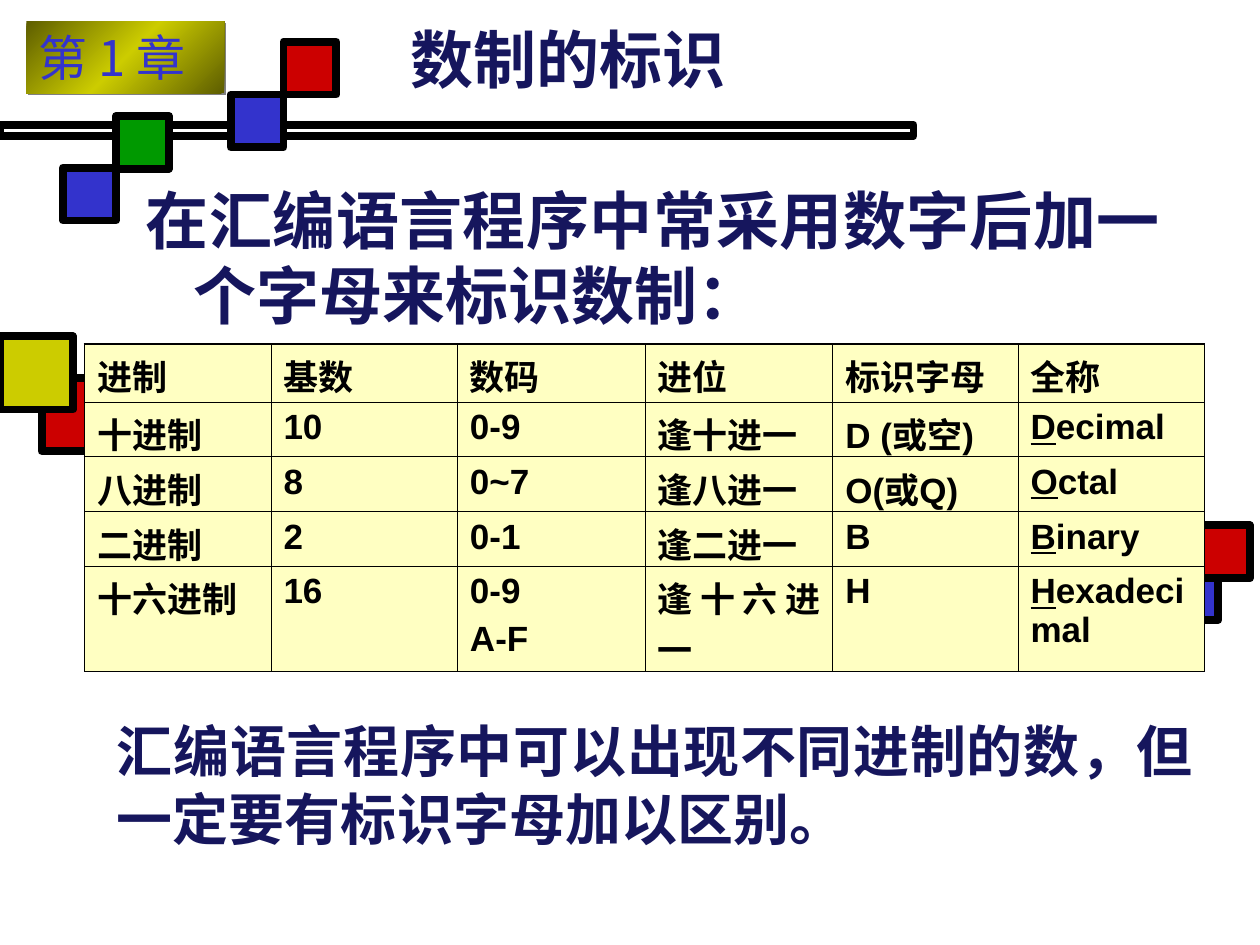
from lxml import etree
from pptx import Presentation
from pptx.dml.color import RGBColor
from pptx.enum.shapes import MSO_SHAPE
from pptx.enum.text import MSO_ANCHOR, MSO_AUTO_SIZE, PP_ALIGN
from pptx.oxml import parse_xml
from pptx.oxml.ns import nsdecls, qn
from pptx.util import Inches, Pt

RECTANGLE = MSO_SHAPE.RECTANGLE
MIDDLE, TOP = MSO_ANCHOR.MIDDLE, MSO_ANCHOR.TOP
NO_FIT = MSO_AUTO_SIZE.NONE
JUSTIFY, LEFT = PP_ALIGN.JUSTIFY, PP_ALIGN.LEFT

CJK = "Noto Sans CJK JP"
BLACK, WHITE, NAVY = "000000", "FFFFFF", "16165D"
BLUE, RED, GREEN, YELLOW = "3333CC", "CC0000", "009900", "CCCC00"
OLIVE, GRAY, CREAM = "5E5E00", "808080", "FFFFC2"

SQUARES = [
    (9.25, 4.5, 0.42, BLUE), (9.5, 4.17, 0.42, RED),
    (1.83, 0.75, 0.42, BLUE), (0.5, 1.33, 0.42, BLUE),
    (0.92, 0.92, 0.42, GREEN), (2.25, 0.33, 0.42, RED),
    (0.33, 3, 0.58, RED), (0, 2.67, 0.58, YELLOW),
]
NUMERAL_SYSTEMS = [
    ["进制", "基数", "数码", "进位", "标识字母", "全称"],
    ["十进制", "10", "0-9", "逢十进一", "D (或空)", "Decimal"],
    ["八进制", "8", "0~7", "逢八进一", "O(或Q)", "Octal"],
    ["二进制", "2", "0-1", "逢二进一", "B", "Binary"],
    ["十六进制", "16", "0-9\nA-F", "逢十六进一", "H", "Hexadecimal"],
]
COLUMN_WIDTHS = [1.48, 1.48, 1.49, 1.49, 1.47, 1.48]
ROW_HEIGHTS = [0.46, 0.43, 0.43, 0.43, 0.84]


def color(value):
    return RGBColor.from_string(value)


def write(frame, text, size=20, font="Arial", east_asian=CJK, fill=BLACK,
          bold=True, align=JUSTIFY, margin=0, indent=0, gap=0, underlined=0):
    for number, line in enumerate(text.split("\n")):
        paragraph = frame.paragraphs[0] if number == 0 else frame.add_paragraph()
        paragraph.alignment = align
        if margin or indent:
            properties = paragraph._p.get_or_add_pPr()
            properties.set("marL", str(Inches(margin)))
            properties.set("indent", str(Inches(indent)))
        if number:
            paragraph.space_before = Pt(gap)
        for part in filter(None, (line[:underlined], line[underlined:])):
            run = paragraph.add_run()
            run.text = part
            run.font.size = Pt(size)
            run.font.name = font
            run.font.bold = bold
            run.font.color.rgb = color(fill)
            if underlined and part == line[:underlined]:
                run.font.underline = True
            typeface = etree.SubElement(run._r.get_or_add_rPr(), qn("a:ea"))
            typeface.set("typeface", east_asian)


class SlideBuilder:
    line_width = 4.5
    heading = {"font": "Cabin", "east_asian": "Cabin", "fill": NAVY}
    prose = {"font": "Arial", "east_asian": "Cabin", "fill": NAVY}

    def __init__(self, presentation):
        self.slide = presentation.slides.add_slide(presentation.slide_layouts[5])

    def title(self, text, left, top, width, height, **style):
        title = self.slide.shapes.title
        title.left, title.top = Inches(left), Inches(top)
        title.width, title.height = Inches(width), Inches(height)
        frame = title.text_frame
        frame.auto_size = NO_FIT
        frame.vertical_anchor = MIDDLE
        write(frame, text, **self.heading, **style)

    def box(self, left, top, width, height, fill=None, outline=BLACK):
        box = self.slide.shapes.add_shape(
            RECTANGLE, Inches(left), Inches(top), Inches(width), Inches(height))
        box.shadow.inherit = False
        if fill:
            box.fill.solid()
            box.fill.fore_color.rgb = color(fill)
        else:
            box.fill.background()
        if outline:
            box.line.color.rgb = color(outline)
            box.line.width = Pt(self.line_width)
        else:
            box.line.fill.background()
        return box

    def badge(self, text, left, top, width, height):
        badge = self.box(left, top, width, height, outline=None)
        stops = "".join(
            f'<a:gs pos="{place}"><a:srgbClr val="{shade}"/></a:gs>'
            for place, shade in ((0, OLIVE), (50000, YELLOW), (100000, OLIVE)))
        properties = badge._element.spPr
        properties.replace(properties.find(qn("a:noFill")), parse_xml(
            f'<a:gradFill {nsdecls("a")}><a:gsLst>{stops}</a:gsLst>'
            '<a:lin ang="2700000" scaled="0"/></a:gradFill>'))
        properties.find(qn("a:effectLst")).append(parse_xml(
            f'<a:outerShdw {nsdecls("a")} dist="{Pt(1.4)}" dir="2700000">'
            f'<a:srgbClr val="{GRAY}"/></a:outerShdw>'))
        frame = badge.text_frame
        frame.word_wrap = False
        frame.vertical_anchor = TOP
        write(frame, text, size=28, font=CJK, fill=BLUE, bold=False, align=LEFT)

    def text(self, text, left, top, width, height, fill=None, **style):
        passage = self.slide.shapes.add_textbox(
            Inches(left), Inches(top), Inches(width), Inches(height))
        if fill:
            passage.fill.solid()
            passage.fill.fore_color.rgb = color(fill)
        passage.text_frame.word_wrap = True
        write(passage.text_frame, text, **self.prose, **style)

    def borders(self, cell, widths):
        properties = cell._tc.get_or_add_tcPr()
        for index, (side, width) in enumerate(widths.items()):
            properties.insert(index, parse_xml(
                f'<a:{side} {nsdecls("a")} w="{Pt(width)}"><a:solidFill>'
                f'<a:srgbClr val="{BLACK}"/></a:solidFill></a:{side}>'))

    def table(self, rows, left, top, widths, heights):
        table = self.slide.shapes.add_table(
            len(rows), len(widths), Inches(left), Inches(top),
            Inches(sum(widths)), Inches(sum(heights))).table
        for column, width in zip(table.columns, widths):
            column.width = Inches(width)
        for row, height in zip(table.rows, heights):
            row.height = Inches(height)
        last = len(widths) - 1
        thin, thick = 0.45, 1.08
        for r, row in enumerate(rows):
            for c, text in enumerate(row):
                cell = table.cell(r, c)
                cell.fill.solid()
                cell.fill.fore_color.rgb = color(CREAM)
                write(cell.text_frame, text, gap=5,
                      underlined=1 if r and c == last else 0)
                self.borders(cell, {
                    "lnL": thick if c == 0 and r < 3 else thin,
                    "lnR": thick if c == last and r < 3 else thin,
                    "lnT": thick if r == 0 else thin,
                    "lnB": thin,
                })


def main():
    presentation = Presentation()
    presentation.slide_width = Inches(10)
    presentation.slide_height = Inches(7.5)
    builder = SlideBuilder(presentation)
    builder.box(0, 0.99, 7.25, 0.09)
    for left, top, side, fill in SQUARES:
        builder.box(left, top, side, side, fill)
    builder.badge("第 1 章", 0.21, 0.17, 1.57, 0.57)
    builder.title("数制的标识", 2.72, 0, 6.58, 0.92, size=36, margin=0.44)
    builder.text("在汇编语言程序中常采用数字后加一个字母来标识数制：",
                 1.06, 1.39, 8.25, 1.38, WHITE, size=36, margin=0.38, indent=-0.38)
    builder.table(NUMERAL_SYSTEMS, 0.67, 2.73, COLUMN_WIDTHS, ROW_HEIGHTS)
    builder.text("汇编语言程序中可以出现不同进制的数，但一定要有标识字母加以区别。",
                 0.83, 5.64, 8.74, 1.17, size=32)
    presentation.save("out.pptx")


if __name__ == "__main__":
    main()
